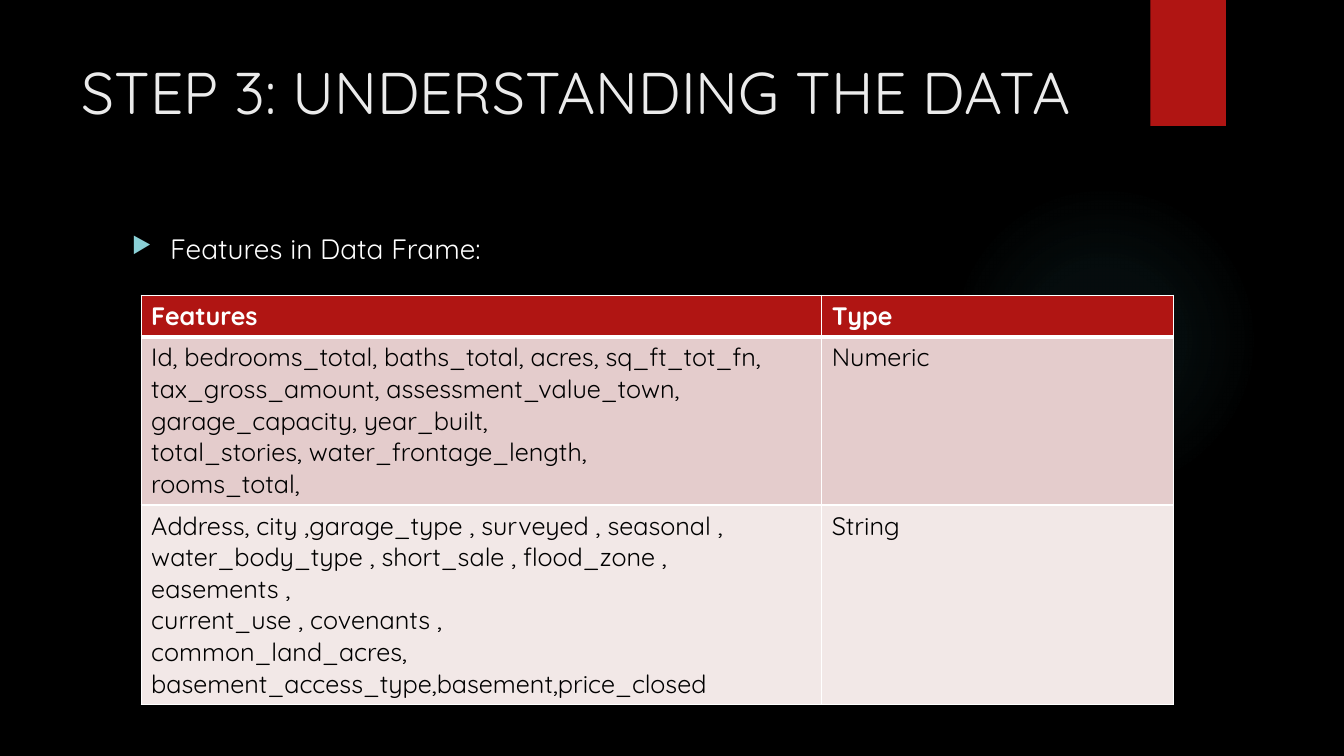
from dataclasses import dataclass
from typing import Any

import pptx
import pptx.dml.color
import pptx.enum.shapes
import pptx.enum.text
import pptx.oxml
import pptx.oxml.ns
import pptx.util

Inches = pptx.util.Inches
Pt = pptx.util.Pt

COLORS = {
    "background": "000000",
    "accent": "B01513",
    "glow": "50B9C1",
    "title": "EBEBEB",
    "white": "FFFFFF",
    "black": "000000",
    "bullet": "8AD0D6",
    "numeric": "E4CCCC",
    "string": "F2E8E7",
}
FONT = "Quicksand"
COLUMN_WIDTHS = (6.75, 3.49)
A_NS = pptx.oxml.ns.nsdecls("a")


@dataclass(frozen=True)
class Box:
    left: float
    top: float
    width: float
    height: float

    def lengths(self) -> tuple[int, ...]:
        return tuple(Inches(v) for v in (self.left, self.top, self.width, self.height))


@dataclass(frozen=True)
class FeatureRow:
    features: str
    kind: str
    fill: str
    height: float
    text_color: str = "black"
    bold: bool = False
    bottom_border: float = 1


FEATURE_ROWS = (
    FeatureRow("Features", "Type", "accent", 0.41, "white", True, 3),
    FeatureRow(
        "Id, bedrooms_total, baths_total, acres, sq_ft_tot_fn, tax_gross_amount, "
        "assessment_value_town, garage_capacity, year_built,\n"
        "total_stories, water_frontage_length,\n"
        "rooms_total,",
        "Numeric", "numeric", 1.67,
    ),
    FeatureRow(
        "Address, city ,garage_type , surveyed , seasonal , water_body_type , "
        "short_sale , flood_zone , easements ,\n"
        "current_use , covenants ,\n"
        "common_land_acres, basement_access_type,basement,price_closed",
        "String", "string", 1.98,
    ),
)


def rgb(name: str) -> pptx.dml.color.RGBColor:
    return pptx.dml.color.RGBColor.from_string(COLORS[name])


def write(frame: Any, text: str, size: float, color: str, bold: bool = False) -> None:
    """Fill the frame; a space before a comma never breaks the line."""
    frame.text = text.replace(" ,", chr(160) + ",")
    frame.word_wrap = True
    font_format = {"name": FONT, "size": Pt(size), "bold": bold}
    for paragraph in frame.paragraphs:
        for run in paragraph.runs:
            for attribute, value in font_format.items():
                setattr(run.font, attribute, value)
            run.font.color.rgb = rgb(color)


def add_text(slide: Any, box: Box, text: str, size: float, color: str) -> Any:
    frame = slide.shapes.add_textbox(*box.lengths()).text_frame
    frame.vertical_anchor = pptx.enum.text.MSO_ANCHOR.TOP
    write(frame, text, size, color)
    return frame.paragraphs[0]


def add_plain_shape(slide: Any, kind: Any, box: Box, fill: str) -> Any:
    shape = slide.shapes.add_shape(kind, *box.lengths())
    shape.shadow.inherit = False
    shape.fill.solid()
    shape.fill.fore_color.rgb = rgb(fill)
    shape.line.fill.background()
    return shape


def add_glow(slide: Any) -> None:
    """Faint round light that fades out towards its edge."""
    glow = add_plain_shape(
        slide, pptx.enum.shapes.MSO_SHAPE.OVAL, Box(9.41, 1.83, 3.08, 3.08), "glow"
    )
    stops = "".join(
        f'<a:gs pos="{position * 1000}"><a:srgbClr val="{COLORS["glow"]}">'
        f'<a:alpha val="{opacity * 1000}"/></a:srgbClr></a:gs>'
        for position, opacity in ((0, 7), (36, 6), (69, 0))
    )
    gradient = pptx.oxml.parse_xml(
        f"<a:gradFill {A_NS}><a:gsLst>{stops}</a:gsLst>"
        '<a:path path="circle"><a:fillToRect l="50000" t="50000" r="50000" b="50000"/>'
        "</a:path></a:gradFill>"
    )
    properties = glow.element.spPr
    properties.replace(properties.find(pptx.oxml.ns.qn("a:solidFill")), gradient)


def add_bullet(paragraph: Any) -> None:
    paragraph.space_before = Pt(10)
    properties = paragraph._p.get_or_add_pPr()
    indent = Inches(0.38)
    properties.set("marL", str(indent))
    properties.set("indent", str(-indent))
    for element in (
        f'<a:buClr {A_NS}><a:srgbClr val="{COLORS["bullet"]}"/></a:buClr>',
        f'<a:buSzPct {A_NS} val="80000"/>',
        f'<a:buChar {A_NS} char="▶"/>',
    ):
        properties.append(pptx.oxml.parse_xml(element))


def add_borders(cell: Any, top: float, bottom: float) -> None:
    properties = cell._tc.get_or_add_tcPr()
    widths = {"lnL": 1, "lnR": 1, "lnT": top, "lnB": bottom}
    for index, (side, width) in enumerate(widths.items()):
        line = pptx.oxml.parse_xml(
            f'<a:{side} {A_NS} w="{Pt(width)}"><a:solidFill>'
            f'<a:srgbClr val="{COLORS["white"]}"/></a:solidFill></a:{side}>'
        )
        properties.insert(index, line)


def add_feature_table(slide: Any) -> None:
    height = sum(row.height for row in FEATURE_ROWS)
    box = Box(1.4, 2.93, sum(COLUMN_WIDTHS), height)
    table = slide.shapes.add_table(
        len(FEATURE_ROWS), len(COLUMN_WIDTHS), *box.lengths()
    ).table
    table.horz_banding = False
    for column, width in zip(table.columns, COLUMN_WIDTHS):
        column.width = Inches(width)
    top_border = 1.0
    for index, row in enumerate(FEATURE_ROWS):
        table.rows[index].height = Inches(row.height)
        for cell, text in zip(table.rows[index].cells, (row.features, row.kind)):
            cell.fill.solid()
            cell.fill.fore_color.rgb = rgb(row.fill)
            write(cell.text_frame, text, 18, row.text_color, row.bold)
            add_borders(cell, top_border, row.bottom_border)
        top_border = row.bottom_border


def main() -> None:
    deck = pptx.Presentation()
    deck.slide_width, deck.slide_height = Inches(13.33), Inches(7.5)
    slide = deck.slides.add_slide(deck.slide_layouts[6])
    slide.background.fill.solid()
    slide.background.fill.fore_color.rgb = rgb("background")

    add_glow(slide)
    add_plain_shape(
        slide, pptx.enum.shapes.MSO_SHAPE.RECTANGLE, Box(11.41, 0, 0.75, 1.25), "accent"
    )
    add_text(
        slide, Box(0.71, 0.5, 10.29, 1.53), "STEP 3: UNDERSTANDING THE DATA", 42, "title"
    )
    intro = add_text(
        slide, Box(1.21, 2.25, 9.78, 4.59), "Features in Data Frame:", 20, "white"
    )
    add_bullet(intro)
    add_feature_table(slide)
    deck.save("out.pptx")


if __name__ == "__main__":
    main()
